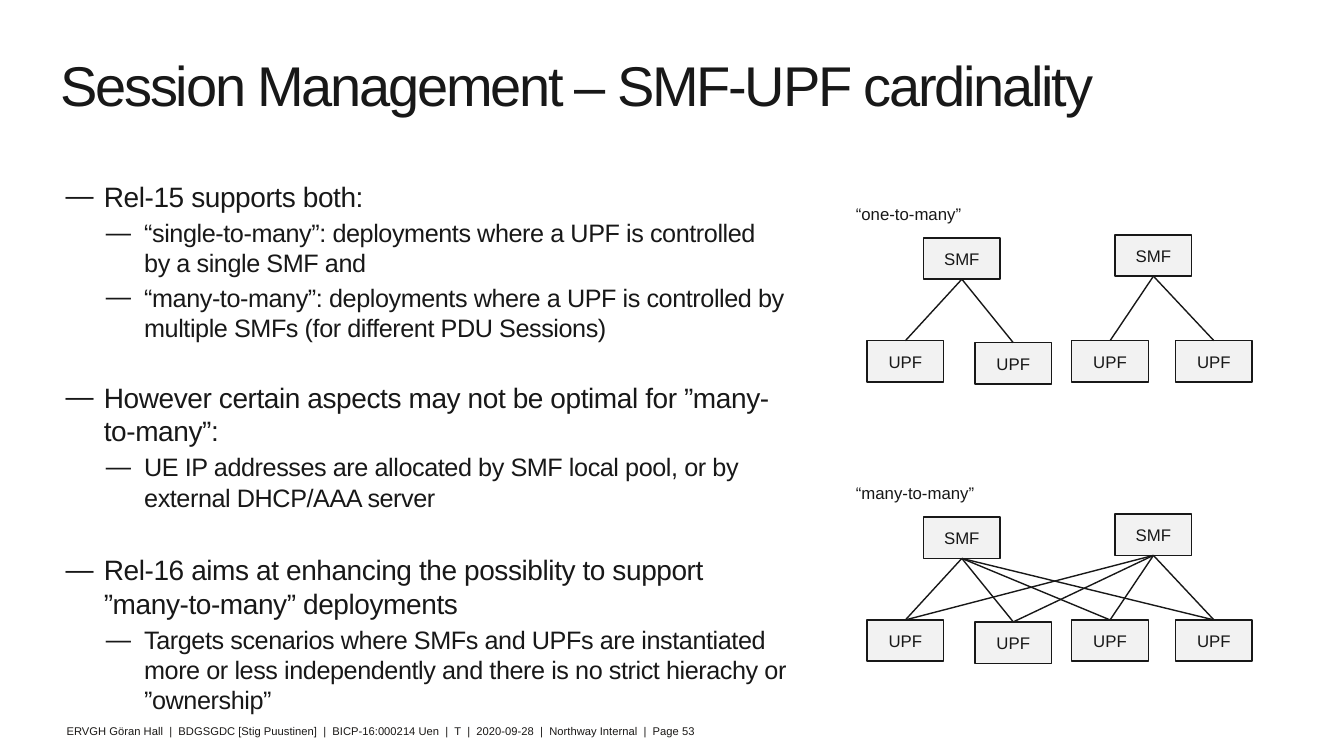
from dataclasses import dataclass

from lxml import etree
from pptx import Presentation
from pptx.dml.color import RGBColor
from pptx.enum.shapes import MSO_CONNECTOR, MSO_SHAPE
from pptx.enum.text import MSO_ANCHOR, MSO_AUTO_SIZE, PP_ALIGN
from pptx.oxml.ns import qn
from pptx.util import Inches, Pt

LEFT, CENTER = PP_ALIGN.LEFT, PP_ALIGN.CENTER
TOP, MIDDLE = MSO_ANCHOR.TOP, MSO_ANCHOR.MIDDLE
NO_AUTOFIT = MSO_AUTO_SIZE.NONE
RECTANGLE = MSO_SHAPE.RECTANGLE
STRAIGHT = MSO_CONNECTOR.STRAIGHT
TOP_SITE, BOTTOM_SITE = 0, 2


@dataclass(frozen=True)
class Theme:
    font: str = "Arial"
    ink: str = "181818"
    footer_ink: str = "1A1816"
    box_fill: str = "F2F2F2"
    title_size: int = 40
    level_sizes: tuple = (20, 18)
    label_size: int = 12
    footer_size: int = 8
    title_tracking: int = -160
    body_tracking: int = -30
    line_width: int = 1


THEME = Theme()

TITLE = "Session Management – SMF-UPF cardinality"
FOOTER = (
    "ERVGH Göran Hall  |  BDGSGDC [Stig Puustinen]  |  BICP-16:000214 Uen  |  T  |  "
    "2020-09-28  |  Northway Internal  |  Page 53"
)
BULLETS = [
    (0, 0, "Rel-15 supports both:"),
    (1, 3, "“single-to-many”: deployments where a UPF is controlled by a single SMF and"),
    (1, 3, "“many-to-many”: deployments where a UPF is controlled by multiple SMFs "
           "(for different PDU Sessions)"),
    (0, 27, "However certain aspects may not be optimal for ”many-to-many”:"),
    (1, 3, "UE IP addresses are allocated by SMF local pool, or by external DHCP/AAA server"),
    (0, 29, "Rel-16 aims at enhancing the possiblity to support ”many-to-many” deployments"),
    (1, 3, "Targets scenarios where SMFs and UPFs are instantiated more or less independently "
           "and there is no strict hierachy or ”ownership”"),
]
LEVEL_INDENTS = (0.38, 0.78)
HANGING = 0.38

SMF_OFFSETS = [(9.16, 0.39), (11.06, 0.36)]
UPF_OFFSETS = [(8.6, 1.41), (9.67, 1.43), (10.63, 1.41), (11.66, 1.41)]
ONE_TO_MANY = [(0, 0), (0, 1), (1, 2), (1, 3)]
MANY_TO_MANY = [(smf, upf) for smf in range(2) for upf in range(4)]


def place(shape, left, top, width, height):
    shape.left, shape.top = Inches(left), Inches(top)
    shape.width, shape.height = Inches(width), Inches(height)


def set_frame(shape, horizontal, top, bottom, anchor=TOP, wrap=True):
    frame = shape.text_frame
    frame.margin_left = frame.margin_right = Inches(horizontal)
    frame.margin_top, frame.margin_bottom = Inches(top), Inches(bottom)
    frame.vertical_anchor = anchor
    frame.auto_size = NO_AUTOFIT
    frame.word_wrap = wrap
    return frame


def write(paragraph, text, size, color=THEME.ink, align=LEFT, tracking=None):
    run = paragraph.add_run()
    run.text = text
    if tracking is not None:
        run._r.get_or_add_rPr().set("spc", str(tracking))
    paragraph.alignment = align
    paragraph.font.name = THEME.font
    paragraph.font.size = Pt(size)
    paragraph.font.color.rgb = RGBColor.from_string(color)


def add_bullet(paragraph, level):
    properties = paragraph._p.get_or_add_pPr()
    properties.set("marL", str(Inches(LEVEL_INDENTS[level])))
    properties.set("indent", str(-Inches(HANGING)))
    bullet_color = etree.SubElement(properties, qn("a:buClr"))
    etree.SubElement(bullet_color, qn("a:srgbClr")).set("val", THEME.ink)
    etree.SubElement(properties, qn("a:buFont")).set("typeface", THEME.font)
    etree.SubElement(properties, qn("a:buChar")).set("char", "—")


def fill_title(title):
    place(title, 0.52, 0.52, 10.91, 1.18)
    paragraph = set_frame(title, 0.08, 0.08, 0.04).paragraphs[0]
    paragraph.line_spacing = 0.85
    write(paragraph, TITLE, THEME.title_size, tracking=THEME.title_tracking)


def fill_body(body):
    place(body, 0.57, 1.7, 7.31, 5.43)
    frame = set_frame(body, 0.08, 0.08, 0.04)
    for index, (level, space_before, text) in enumerate(BULLETS):
        paragraph = frame.add_paragraph() if index else frame.paragraphs[0]
        paragraph.level = level
        add_bullet(paragraph, level)
        paragraph.space_before = Pt(space_before)
        write(paragraph, text, THEME.level_sizes[level], tracking=THEME.body_tracking)


def add_text(slide, text, left, top, width, height, size, color=THEME.ink, margin=0.1):
    shape = slide.shapes.add_textbox(0, 0, 0, 0)
    place(shape, left, top, width, height)
    frame = set_frame(shape, margin, 0.05, 0.05)
    write(frame.paragraphs[0], text, size, color)


def add_node(slide, name, left, top):
    node = slide.shapes.add_shape(RECTANGLE, 0, 0, 0, 0)
    place(node, left, top, 0.76, 0.41)
    node.shadow.inherit = False
    node.fill.solid()
    node.fill.fore_color.rgb = RGBColor.from_string(THEME.box_fill)
    node.line.color.rgb = RGBColor.from_string(THEME.ink)
    node.line.width = Pt(THEME.line_width)
    frame = set_frame(node, 0.08, 0.05, 0.05, MIDDLE, wrap=False)
    write(frame.paragraphs[0], name, THEME.label_size, align=CENTER)
    return node


def link(slide, smf, upf):
    connector = slide.shapes.add_connector(STRAIGHT, 0, 0, 0, 0)
    connector.begin_connect(smf, BOTTOM_SITE)
    connector.end_connect(upf, TOP_SITE)
    connector.line.color.rgb = RGBColor.from_string(THEME.ink)
    connector.line.width = Pt(THEME.line_width)
    etree.SubElement(connector._element.spPr, qn("a:effectLst"))


def add_diagram(slide, label, top, links):
    add_text(slide, label, 8.39, top, 1.43, 0.3, THEME.label_size)
    smfs = [add_node(slide, "SMF", left, top + offset) for left, offset in SMF_OFFSETS]
    upfs = [add_node(slide, "UPF", left, top + offset) for left, offset in UPF_OFFSETS]
    for smf, upf in links:
        link(slide, smfs[smf], upfs[upf])


def main():
    presentation = Presentation()
    presentation.slide_width, presentation.slide_height = Inches(13.33), Inches(7.5)
    slide = presentation.slides.add_slide(presentation.slide_layouts[1])
    fill_title(slide.shapes.title)
    fill_body(slide.placeholders[1])
    add_text(slide, FOOTER, 0.58, 7.14, 10.79, 0.24, THEME.footer_size,
             THEME.footer_ink, margin=0.08)
    add_diagram(slide, "“one-to-many”", 1.97, ONE_TO_MANY)
    add_diagram(slide, "“many-to-many”", 4.74, MANY_TO_MANY)
    presentation.save("out.pptx")


if __name__ == "__main__":
    main()
